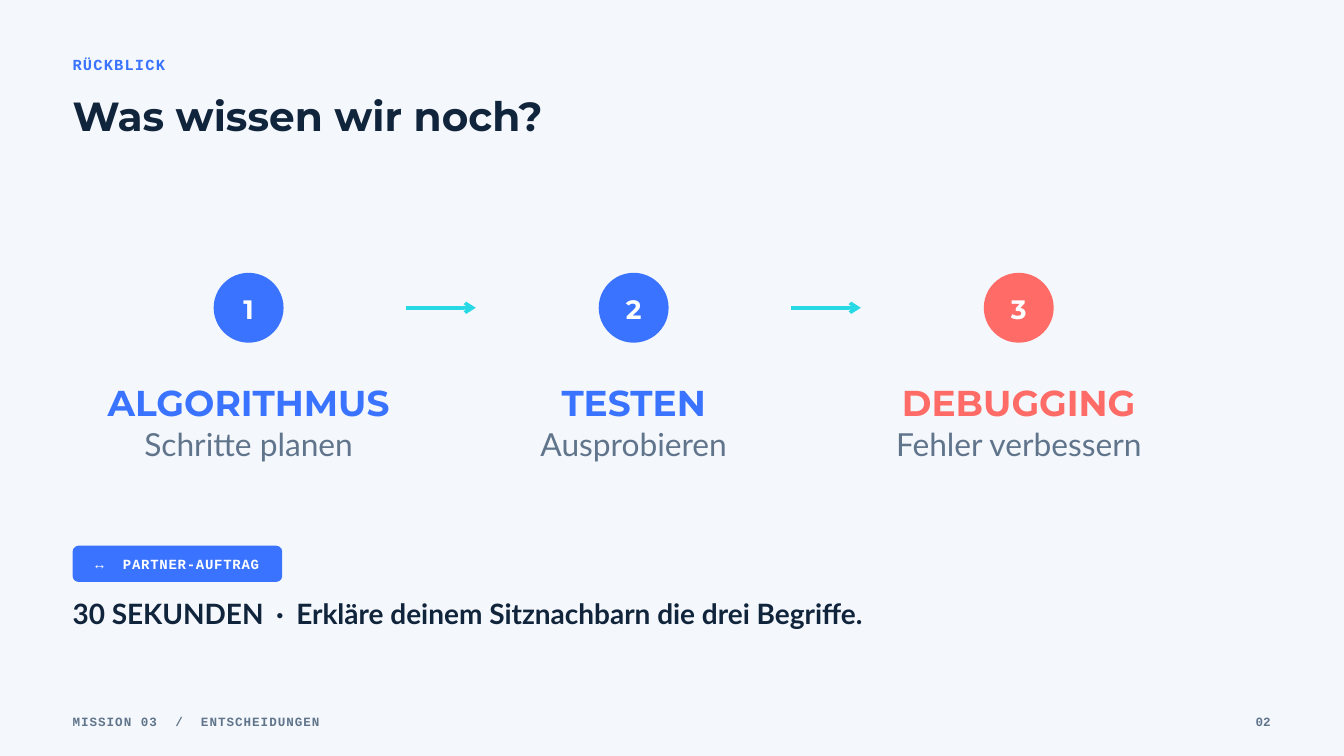
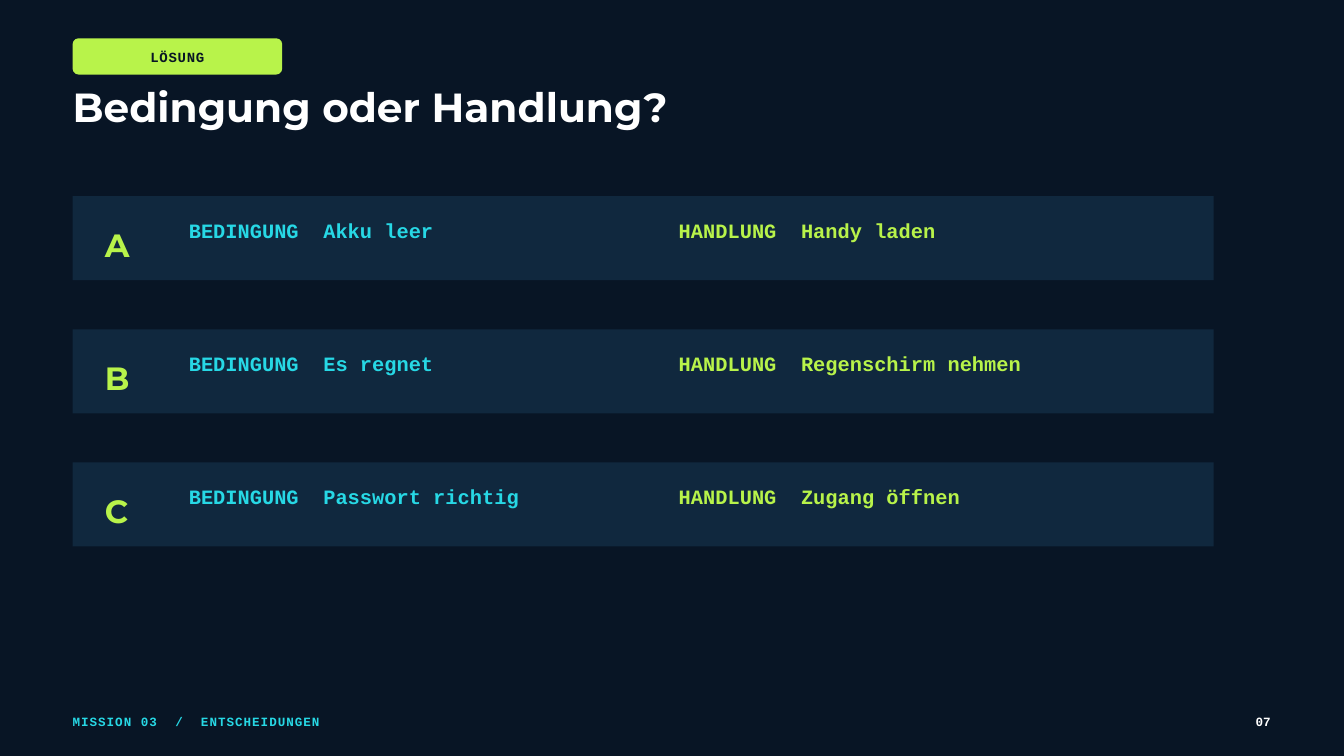
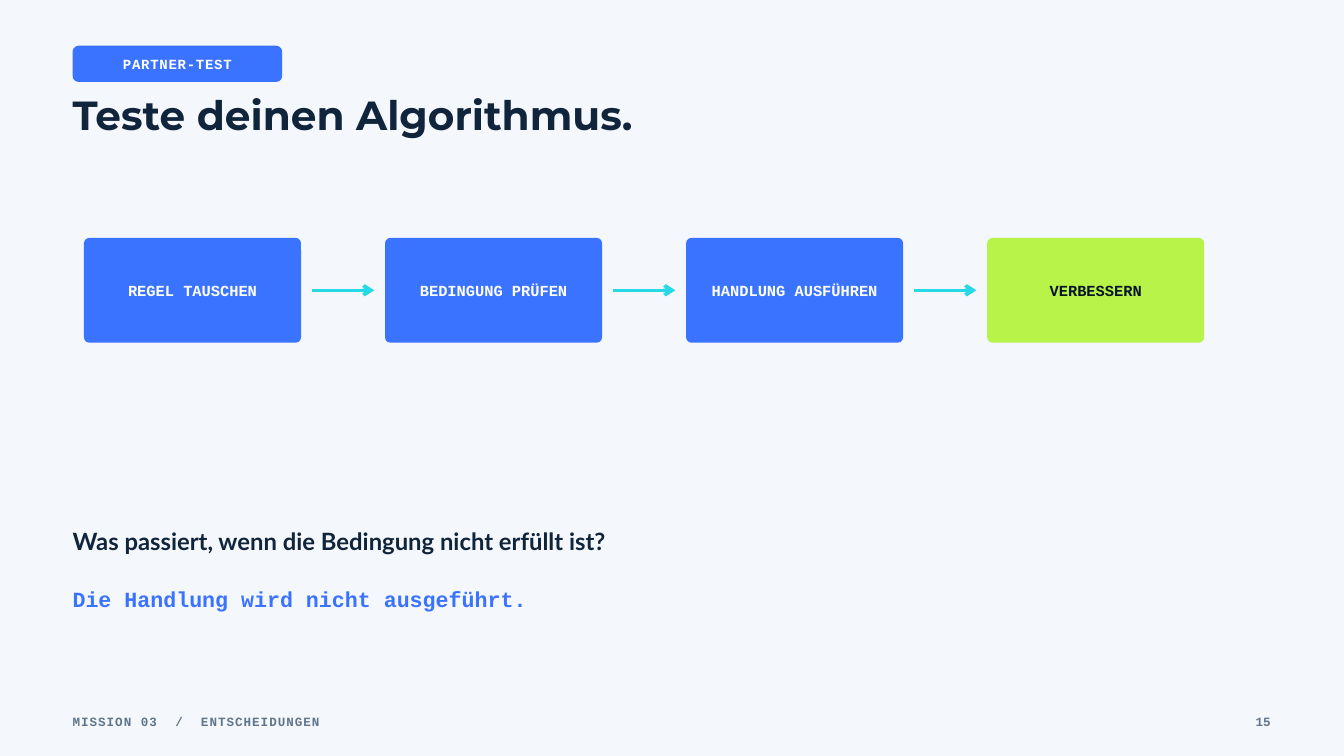
from dataclasses import dataclass

from lxml.etree import SubElement
from pptx import Presentation
from pptx.dml.color import RGBColor
from pptx.enum.shapes import MSO_CONNECTOR, MSO_SHAPE
from pptx.enum.text import MSO_ANCHOR, MSO_AUTO_SIZE, PP_ALIGN
from pptx.oxml.ns import qn
from pptx.util import Inches, Pt


@dataclass(frozen=True)
class Type:
    """A text style; leading is a multiple of the size."""
    size: float
    font: str
    bold: bool = True
    tracking: float = 0
    leading: float = 1.4


@dataclass(frozen=True)
class Theme:
    """Colours and type sizes of the deck."""
    paper: str = "F4F7FB"
    night: str = "081525"
    panel: str = "10283E"
    ink: str = "10243B"
    slate: str = "60758C"
    white: str = "FFFFFF"
    blue: str = "3A73FF"
    cyan: str = "27D8E5"
    lime: str = "B8F34A"
    coral: str = "FF6B66"
    title: Type = Type(43.5, "Montserrat", leading=1.04)
    term: Type = Type(38.5, "Montserrat")
    letter: Type = Type(34.5, "Montserrat")
    number: Type = Type(28.5, "Montserrat")
    meaning: Type = Type(34, "Lato", bold=False)
    task: Type = Type(30, "Lato")
    question: Type = Type(25.5, "Lato")
    answer: Type = Type(23.2, "Courier New")
    pair: Type = Type(21.8, "Courier New")
    step: Type = Type(16.5, "Courier New")
    kicker: Type = Type(16.5, "Courier New", tracking=1.3)
    badge: Type = Type(15, "Courier New", tracking=0.8)
    footer: Type = Type(13.5, "Courier New", tracking=1.1)
    page: Type = Type(13.5, "Courier New")


T = Theme()
LEFT = 1.08
SPACE_WIDTH = {"Courier New": 0.6, "Lato": 0.2, "Montserrat": 0.26}


class Deck:
    """Holds the presentation, its theme and the current slide."""

    def __init__(self):
        """Start an empty widescreen deck."""
        self.prs = Presentation()
        self.prs.slide_width = Inches(20)
        self.prs.slide_height = Inches(11.25)
        self.s = None

    def slide(self, title, top, page, dark=False):
        """Add a slide with background, title and footer."""
        self.s = self.prs.slides.add_slide(self.prs.slide_layouts[5])
        fill = self.s.background.fill
        fill.solid()
        fill.fore_color.rgb = RGBColor.from_string(T.night if dark else T.paper)
        sp = self.s.shapes.title
        sp.left, sp.top, sp.width, sp.height = map(Inches, (LEFT, top, 14, 0.65))
        self.line(sp.text_frame, [title], T.title, T.white if dark else T.ink)
        self.text(["MISSION 03", "/", "ENTSCHEIDUNGEN"], (LEFT, 10.59, 6.46, 0.25),
                  T.footer, T.cyan if dark else T.slate)
        self.text([page], (18.12, 10.59, 0.79, 0.25), T.page,
                  T.white if dark else T.slate, PP_ALIGN.RIGHT)

    def run(self, p, text, style, color, tracking):
        """Add one formatted run."""
        r = p.add_run()
        r.text = text
        r.font.size, r.font.name, r.font.bold = Pt(style.size), style.font, style.bold
        r.font.color.rgb = RGBColor.from_string(color)
        if tracking:
            r._r.get_or_add_rPr().set("spc", str(round(tracking * 100)))

    def line(self, tf, parts, style, color, align=PP_ALIGN.LEFT,
             anchor=MSO_ANCHOR.TOP, inset=0, lift=0):
        """Fill a frame with one line, its parts set apart by wide spaces."""
        tf.word_wrap = True
        tf.auto_size = MSO_AUTO_SIZE.NONE
        tf.vertical_anchor = anchor
        tf.margin_left = tf.margin_right = tf.margin_top = Inches(inset)
        tf.margin_bottom = Inches(inset + lift)
        p = tf.paragraphs[0]
        p.alignment = align
        p.line_spacing = Pt(round(style.size * style.leading, 1))
        wide = style.size * SPACE_WIDTH[style.font] + 2 * style.tracking
        for i, part in enumerate(parts):
            if i:
                self.run(p, " ", style, color, wide)
            self.run(p, part, style, color, style.tracking)

    def text(self, parts, box, style, color, align=PP_ALIGN.LEFT):
        """Add a text box."""
        sp = self.s.shapes.add_textbox(*map(Inches, box))
        self.line(sp.text_frame, parts, style, color, align)

    def shape(self, kind, box, fill, radius=None):
        """Add a flat filled shape."""
        sp = self.s.shapes.add_shape(kind, *map(Inches, box))
        sp.shadow.inherit = False
        sp.fill.solid()
        sp.fill.fore_color.rgb = RGBColor.from_string(fill)
        sp.line.fill.background()
        if radius:
            sp.adjustments[0] = radius / min(box[2:])
        return sp

    def label(self, kind, parts, box, fill, style, color, radius=None, lift=0.03):
        """Add a shape with centred text."""
        sp = self.shape(kind, box, fill, radius)
        self.line(sp.text_frame, parts, style, color, PP_ALIGN.CENTER,
                  MSO_ANCHOR.MIDDLE, 0.06, lift)

    def badge(self, parts, top, fill=T.blue, color=T.white):
        """Add a small rounded tag at the left margin."""
        self.label(MSO_SHAPE.ROUNDED_RECTANGLE, parts, (LEFT, top, 3.12, 0.54),
                   fill, T.badge, color, 0.09)

    def arrow(self, left, y, length):
        """Add a horizontal arrow pointing right."""
        c = self.s.shapes.add_connector(
            MSO_CONNECTOR.STRAIGHT, *map(Inches, (left, y, left + length, y)))
        c.line.color.rgb = RGBColor.from_string(T.cyan)
        c.line.width = Pt(3.75)
        spPr = c._element.spPr
        SubElement(spPr.get_or_add_ln(), qn("a:tailEnd")).set("type", "arrow")
        SubElement(spPr, qn("a:effectLst"))


def review(deck):
    """Build the review of the three terms."""
    deck.slide("Was wissen wir noch?", 1.45, "02")
    deck.text(["RÜCKBLICK"], (LEFT, 0.77, 4.17, 0.31), T.kicker, T.blue)
    terms = [("ALGORITHMUS", "Schritte planen", T.blue),
             ("TESTEN", "Ausprobieren", T.blue),
             ("DEBUGGING", "Fehler verbessern", T.coral)]
    pitch, width, circle = 5.73, 4.48, 1.04
    for i, (term, meaning, color) in enumerate(terms):
        left = 1.46 + i * pitch
        if i:
            deck.arrow(left - 1.15, 4.58, 1.04)
        deck.label(MSO_SHAPE.OVAL, [str(i + 1)],
                   (left + (width - circle) / 2, 4.06, circle, circle),
                   color, T.number, T.white, lift=0.04)
        deck.text([term], (left, 5.55, width, 0.71), T.term, color, PP_ALIGN.CENTER)
        deck.text([meaning], (left, 6.22, width, 0.63), T.meaning, T.slate,
                  PP_ALIGN.CENTER)
    deck.badge(["↔", "PARTNER-AUFTRAG"], 8.12)
    deck.text(["30 SEKUNDEN", "·", "Erkläre deinem Sitznachbarn die drei Begriffe."],
              (LEFT, 8.8, 13.75, 0.54), T.task, T.ink)


def solution(deck):
    """Build the solution rows of conditions and actions."""
    deck.slide("Bedingung oder Handlung?", 1.32, "07", dark=True)
    deck.badge(["LÖSUNG"], 0.57, T.lime, T.night)
    rows = [("A", "Akku leer", "Handy laden"),
            ("B", "Es regnet", "Regenschirm nehmen"),
            ("C", "Passwort richtig", "Zugang öffnen")]
    for i, (letter, condition, action) in enumerate(rows):
        top = 2.92 + i * 1.98
        deck.shape(MSO_SHAPE.RECTANGLE, (LEFT, top, 16.98, 1.25), T.panel)
        deck.text([letter], (1.56, top + 0.34, 0.83, 0.64), T.letter, T.lime)
        deck.text(["BEDINGUNG", condition], (2.81, top + 0.26, 6.77, 0.41),
                  T.pair, T.cyan)
        deck.text(["HANDLUNG", action], (10.1, top + 0.26, 7.29, 0.41),
                  T.pair, T.lime)


def partner_test(deck):
    """Build the four steps of the partner test."""
    deck.slide("Teste deinen Algorithmus.", 1.43, "15")
    deck.badge(["PARTNER-TEST"], 0.68)
    steps = [("REGEL TAUSCHEN", T.blue, T.white),
             ("BEDINGUNG PRÜFEN", T.blue, T.white),
             ("HANDLUNG AUSFÜHREN", T.blue, T.white),
             ("VERBESSERN", T.lime, T.night)]
    for i, (step, fill, color) in enumerate(steps):
        left = 1.25 + i * 4.48
        if i:
            deck.arrow(left - 1.09, 4.32, 0.93)
        deck.label(MSO_SHAPE.ROUNDED_RECTANGLE, [step], (left, 3.54, 3.23, 1.56),
                   fill, T.step, color, 0.08)
    deck.text(["Was passiert, wenn die Bedingung nicht erfüllt ist?"],
              (LEFT, 7.77, 12.19, 0.46), T.question, T.ink)
    deck.text(["Die Handlung wird nicht ausgeführt."],
              (LEFT, 8.65, 10.94, 0.44), T.answer, T.blue)


def main():
    """Build and save the deck."""
    deck = Deck()
    for build in (review, solution, partner_test):
        build(deck)
    deck.prs.save("out.pptx")


if __name__ == "__main__":
    main()
